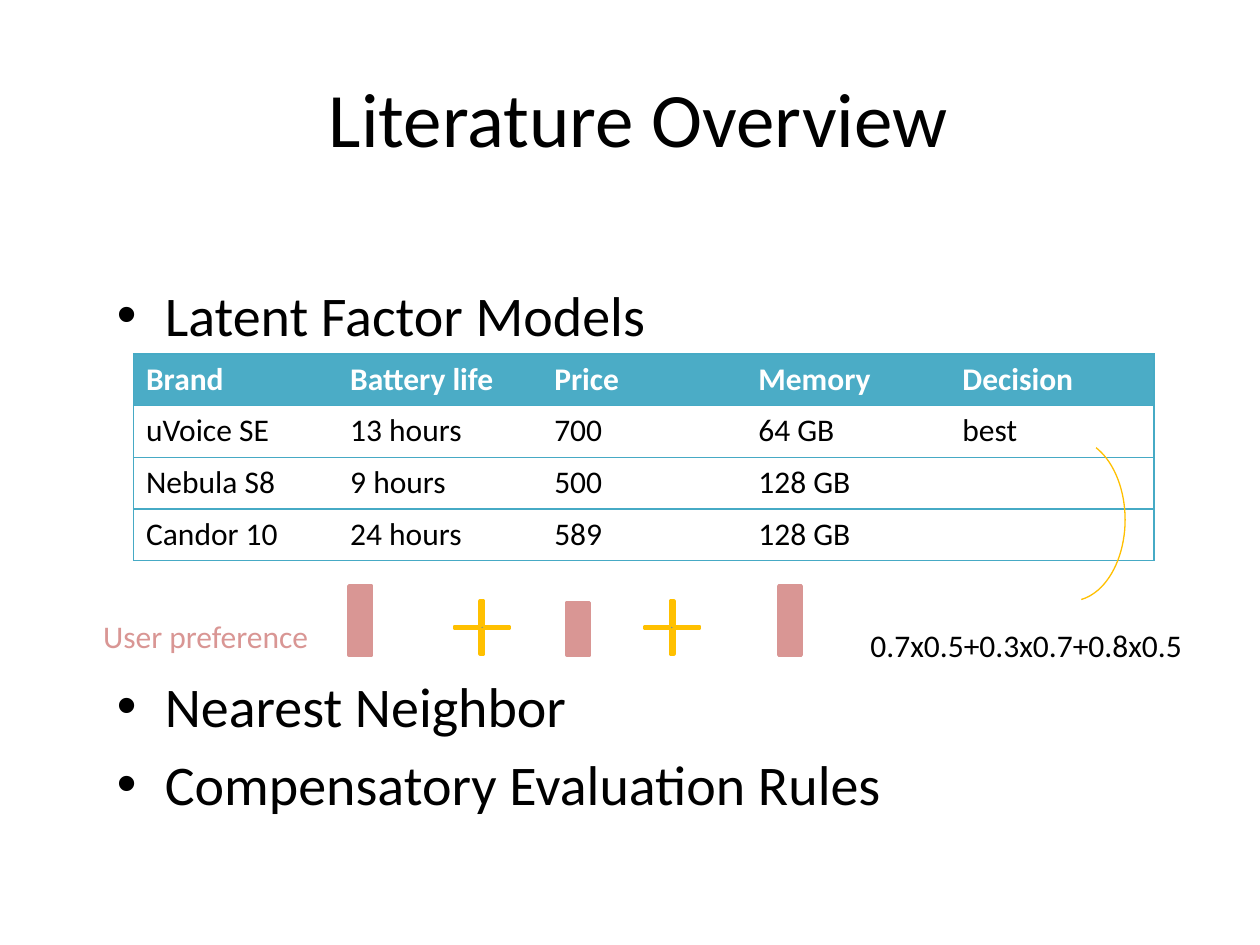
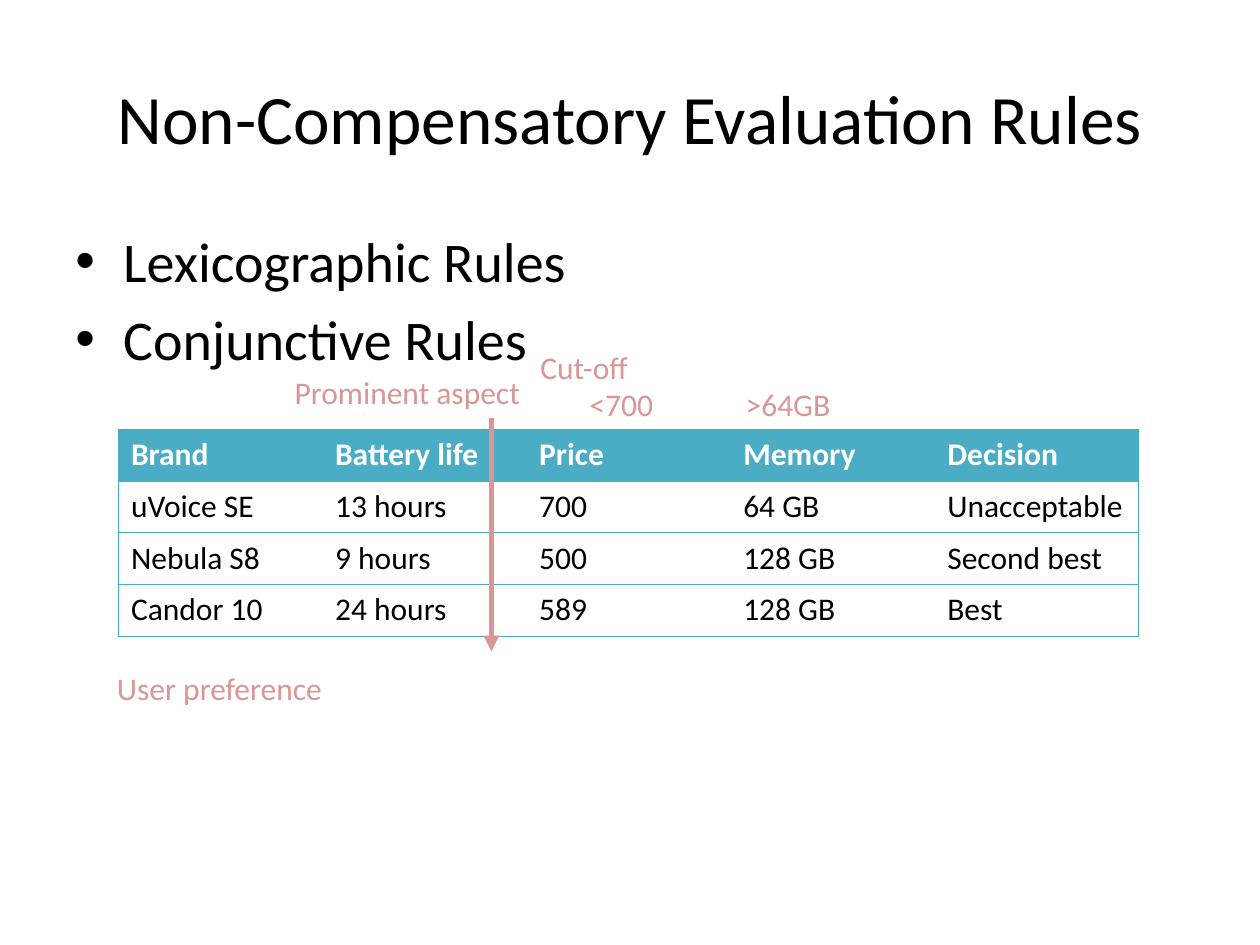
from lxml.etree import SubElement
from pptx import Presentation
from pptx.dml.color import RGBColor
from pptx.enum.shapes import MSO_CONNECTOR, MSO_SHAPE
from pptx.enum.text import MSO_ANCHOR, MSO_AUTO_SIZE, PP_ALIGN
from pptx.oxml.ns import qn
from pptx.util import Inches, Pt

FONT = "Calibri"
BLACK = RGBColor(0x00, 0x00, 0x00)
WHITE = RGBColor(0xFF, 0xFF, 0xFF)
TEAL = RGBColor(0x46, 0xAA, 0xC5)
HEADER_TEAL = RGBColor(0x4B, 0xAC, 0xC6)
ROSE = RGBColor(0xD9, 0x96, 0x94)
GOLD = RGBColor(0xFF, 0xC0, 0x00)
BLUE = RGBColor(0x4F, 0x81, 0xBD)

HEADERS = ("Brand", "Battery life", "Price", "Memory", "Decision")
PHONES = (
    ("uVoice SE", "13 hours", "700", "64 GB"),
    ("Nebula S8", "9 hours", "500", "128 GB"),
    ("Candor 10", "24 hours", "589", "128 GB"),
)
OVERVIEW = {
    "title": (" Literature Overview", 44),
    "bullets": (("Latent Factor Models", 6), ("Nearest Neighbor", 185),
                ("Compensatory Evaluation Rules", 6)),
    "bullets_at": (0.83, 2.18),
    "table_at": (1.06, 2.81),
    "decisions": ("best", "", ""),
    "labels": (("User preference", 0.72, 4.85, 1.85, ROSE),
               ("0.7x0.5+0.3x0.7+0.8x0.5", 6.81, 4.92, 2.69, BLACK)),
}
RULES = {
    "title": ("Non-Compensatory Evaluation Rules", 39.6),
    "bullets": (("Lexicographic Rules", 6), ("Conjunctive Rules", 6)),
    "bullets_at": (0.5, 1.75),
    "table_at": (0.94, 3.41),
    "decisions": ("Unacceptable", "Second best", "Best"),
    "labels": (("User preference", 0.83, 5.26, 1.85, ROSE),
               ("Prominent aspect", 2.24, 2.91, 2.01, ROSE),
               ("Cut-off", 4.19, 2.71, 0.9, ROSE),
               ("<700", 4.58, 3.01, 0.71, ROSE),
               (">64GB", 5.82, 3.01, 0.87, ROSE)),
}

COLUMN_WIDTH, ROW_HEIGHT = 1.62, 0.41
BULLET_INDENT = Inches(0.38)
BAR_WIDTH, BAR_BOTTOM = 0.18, 5.2
PREFERENCE_BARS = ((2.77, 0.55), (4.5, 0.42), (6.18, 0.55))
PLUS_LEFTS, PLUS_TOP, PLUS_SIZE = (3.61, 5.12), 4.77, (0.43, 0.42)
NO_TABLE_STYLE = "{2D5ABB26-0587-4C30-8999-92F81FD0307C}"


def format_font(font, size, color, bold=False):
    font.name, font.size, font.bold = FONT, Pt(size), bold
    font.color.rgb = color


def add_title(slide, text, size):
    title = slide.shapes.title
    title.left, title.top, title.width, title.height = map(Inches, (0.5, 0.3, 9, 1.25))
    title.text_frame.text = text
    title.text_frame.vertical_anchor = MSO_ANCHOR.MIDDLE
    paragraph = title.text_frame.paragraphs[0]
    paragraph.alignment = PP_ALIGN.CENTER
    format_font(paragraph.font, size, BLACK)


def add_bullets(slide, bullets, left, top):
    frame = slide.shapes.add_textbox(*map(Inches, (left, top, 9, 4.95))).text_frame
    frame.word_wrap = True
    for index, (text, space_before) in enumerate(bullets):
        paragraph = frame.add_paragraph() if index else frame.paragraphs[0]
        paragraph.text = text
        paragraph.space_before = Pt(space_before)
        format_font(paragraph.font, 32, BLACK)
        properties = paragraph._p.get_or_add_pPr()
        properties.set("marL", str(BULLET_INDENT))
        properties.set("indent", str(-BULLET_INDENT))
        bullet_font = SubElement(properties, qn("a:buFont"), typeface="Arial")
        bullet_font.addnext(properties.makeelement(qn("a:buChar"), {"char": "•"}))


def add_border(cell, side):
    line = SubElement(cell._tc.get_or_add_tcPr(), qn(f"a:ln{side}"), w=str(Pt(0.75)))
    fill = SubElement(line, qn("a:solidFill"))
    SubElement(fill, qn("a:srgbClr"), val=str(TEAL))


def add_phone_table(slide, decisions, left, top):
    rows = [HEADERS] + [phone + (decision,) for phone, decision in zip(PHONES, decisions)]
    frame = slide.shapes.add_table(
        len(rows), len(HEADERS), Inches(left), Inches(top),
        Inches(COLUMN_WIDTH * len(HEADERS)), Inches(ROW_HEIGHT * len(rows)))
    table = frame.table
    table.horz_banding = False
    table._tbl.tblPr.find(qn("a:tableStyleId")).text = NO_TABLE_STYLE
    last_column = len(HEADERS) - 1
    for row_index, row in enumerate(rows):
        for column_index, text in enumerate(row):
            cell = table.cell(row_index, column_index)
            is_header = row_index == 0
            sides = {"L": column_index == 0, "R": column_index == last_column,
                     "T": True, "B": True}
            for side, visible in sides.items():
                if visible:
                    add_border(cell, side)
            if is_header:
                cell.fill.solid()
                cell.fill.fore_color.rgb = HEADER_TEAL
            else:
                cell.fill.background()
            cell.text = text
            format_font(cell.text_frame.paragraphs[0].font, 18,
                        WHITE if is_header else BLACK, is_header)


def add_label(slide, text, left, top, width, color):
    frame = slide.shapes.add_textbox(*map(Inches, (left, top, width, 0.4))).text_frame
    frame.word_wrap = False
    frame.auto_size = MSO_AUTO_SIZE.SHAPE_TO_FIT_TEXT
    frame.text = text
    format_font(frame.paragraphs[0].font, 18, color)


def add_figure(slide, kind, box, fill_color, line_color, line_width, adjustments=()):
    shape = slide.shapes.add_shape(kind, *map(Inches, box))
    shape.shadow.inherit = False
    if fill_color is None:
        shape.fill.background()
    else:
        shape.fill.solid()
        shape.fill.fore_color.rgb = fill_color
    shape.line.color.rgb = line_color
    shape.line.width = Pt(line_width)
    for index, value in enumerate(adjustments):
        shape.adjustments[index] = value


def add_preference_sum(slide):
    for left, height in PREFERENCE_BARS:
        add_figure(slide, MSO_SHAPE.RECTANGLE,
                   (left, BAR_BOTTOM - height, BAR_WIDTH, height), ROSE, ROSE, 2)
    add_figure(slide, MSO_SHAPE.ARC, (8.07, 3.48, 0.86, 1.29),
               None, GOLD, 0.75, (173.54, 49.54))
    for left in PLUS_LEFTS:
        add_figure(slide, MSO_SHAPE.CROSS, (left, PLUS_TOP, *PLUS_SIZE),
                   BLUE, GOLD, 2, (0.48,))


def add_aspect_arrow(slide):
    arrow = slide.shapes.add_connector(
        MSO_CONNECTOR.STRAIGHT, *map(Inches, (3.9, 3.32, 3.9, 5.17)))
    arrow.line.color.rgb = ROSE
    arrow.line.width = Pt(3)
    SubElement(arrow.line._get_or_add_ln(), qn("a:tailEnd"), type="triangle")
    SubElement(arrow._element.spPr, qn("a:effectLst"))


def add_content_slide(presentation, content):
    slide = presentation.slides.add_slide(presentation.slide_layouts[5])
    add_title(slide, *content["title"])
    add_bullets(slide, content["bullets"], *content["bullets_at"])
    add_phone_table(slide, content["decisions"], *content["table_at"])
    for label in content["labels"]:
        add_label(slide, *label)
    return slide


def main():
    presentation = Presentation()
    presentation.slide_width, presentation.slide_height = Inches(10), Inches(7.5)
    add_preference_sum(add_content_slide(presentation, OVERVIEW))
    add_aspect_arrow(add_content_slide(presentation, RULES))
    presentation.save("out.pptx")


if __name__ == "__main__":
    main()
